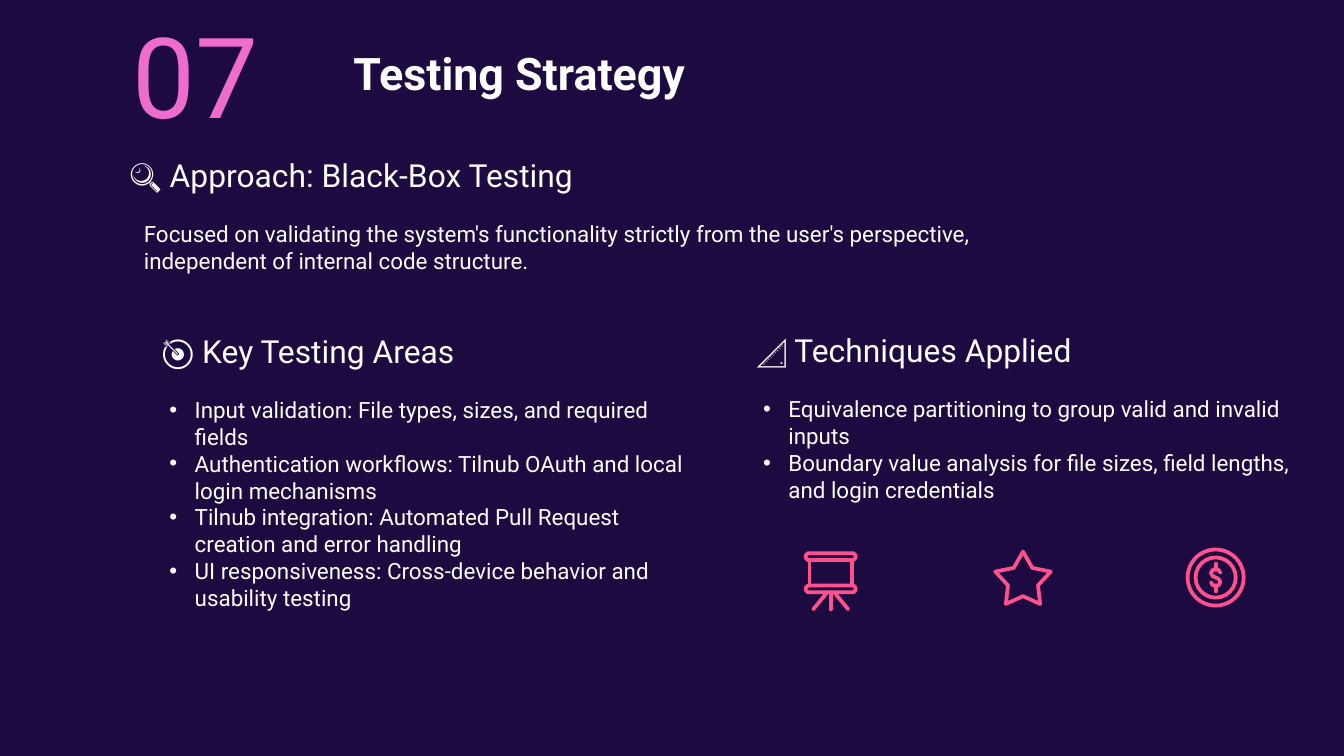
from lxml import etree
from pptx import Presentation
from pptx.dml.color import RGBColor
from pptx.enum.shapes import MSO_CONNECTOR, MSO_SHAPE
from pptx.enum.text import MSO_ANCHOR, MSO_AUTO_SIZE, PP_ALIGN
from pptx.oxml.ns import qn
from pptx.util import Cm, Pt

TOP, MIDDLE, BOTTOM = MSO_ANCHOR.TOP, MSO_ANCHOR.MIDDLE, MSO_ANCHOR.BOTTOM
LEFT, CENTER = PP_ALIGN.LEFT, PP_ALIGN.CENTER
STRAIGHT = MSO_CONNECTOR.STRAIGHT
OVAL, STAR = MSO_SHAPE.OVAL, MSO_SHAPE.STAR_5_POINT
COLORS = {"night": "1D0A40", "white": "FFFFFF", "orchid": "ED6CCD", "pink": "FF518D"}
FONT = "Roboto"
HEADING_HEIGHT = 1.18


def color(name):
    """Return the named colour."""
    return RGBColor.from_string(COLORS[name])


def add_bullet(para):
    """Give a paragraph a white hanging bullet."""
    props = para._p.get_or_add_pPr()
    props.set("marL", str(Cm(0.48)))
    props.set("indent", str(-Cm(0.48)))
    bullet_color = etree.SubElement(props, qn("a:buClr"))
    etree.SubElement(bullet_color, qn("a:srgbClr"), val=COLORS["white"])
    etree.SubElement(props, qn("a:buChar"), char="•")


def clear_bullet(para):
    """Remove the inherited bullet and indent from a paragraph."""
    props = para._p.get_or_add_pPr()
    props.set("marL", "0")
    props.set("indent", "0")
    etree.SubElement(props, qn("a:buNone"))


def write(shape, box, lines, size, ink="white", bold=False, anchor=TOP, align=LEFT, bullets=False):
    """Place a text shape in its box and fill it with one paragraph a line."""
    shape.left, shape.top, shape.width, shape.height = map(Cm, box)
    frame = shape.text_frame
    frame.word_wrap = True
    frame.auto_size = MSO_AUTO_SIZE.NONE
    frame.vertical_anchor = anchor
    frame.margin_left = frame.margin_right = Cm(0.25)
    frame.margin_top = frame.margin_bottom = Cm(0.25)
    for index, line in enumerate(lines):
        para = frame.paragraphs[0] if index == 0 else frame.add_paragraph()
        para.alignment = align
        para.line_spacing = 1.0
        para.space_before = para.space_after = Pt(0)
        if bullets:
            add_bullet(para)
        else:
            clear_bullet(para)
        span = para.add_run()
        span.text = line
        span.font.name = FONT
        span.font.size = Pt(size)
        span.font.bold = bold
        span.font.color.rgb = color(ink)


def add_text(page, box, lines, size, **style):
    """Add a text box with the given lines."""
    write(page.shapes.add_textbox(*map(Cm, box)), box, lines, size, **style)


def pink_stroke(shape):
    """Draw a shape or connector as a rounded pink stroke without shadow."""
    shape.line.color.rgb = color("pink")
    shape.line.width = Pt(2)
    props = shape._element.spPr
    line = props.find(qn("a:ln"))
    line.set("cap", "rnd")
    etree.SubElement(line, qn("a:round"))
    if props.find(qn("a:effectLst")) is None:
        etree.SubElement(props, qn("a:effectLst"))


def add_outline(page, kind, box):
    """Add an unfilled preset shape with a pink outline."""
    shape = page.shapes.add_shape(kind, *map(Cm, box))
    shape.fill.background()
    pink_stroke(shape)
    return shape


def add_drawing(page, origin, contours):
    """Add one unfilled freeform from open contours relative to an origin."""
    left, top = origin
    contours = [[(Cm(left + x), Cm(top + y)) for x, y in contour] for contour in contours]
    builder = page.shapes.build_freeform(*contours[0][0])
    for index, contour in enumerate(contours):
        if index:
            builder.move_to(*contour[0])
        builder.add_line_segments(contour[1:], close=False)
    drawing = builder.convert_to_shape()
    drawing.fill.background()
    pink_stroke(drawing)


def add_header(page, box):
    """Place the section number and the slide title."""
    left, top, width, height = box
    add_text(page, (left, top, 4.83, height), ["07"], 60,
             ink="orchid", anchor=MIDDLE, align=CENTER)
    write(page.shapes.title, (left + 5.15, top + 0.38, width - 5.15, 1.6),
          ["Testing Strategy"], 24, bold=True)


def add_approach(page, box):
    """Place the approach heading above its description."""
    left, top, width, height = box
    add_text(page, (left, top, 13, HEADING_HEIGHT),
             ["🔍 Approach: Black-Box Testing"], 17, anchor=BOTTOM)
    add_text(page, (left + 0.27, top + HEADING_HEIGHT, width - 0.27, height - HEADING_HEIGHT),
             ["Focused on validating the system's functionality strictly from the user's "
              "perspective, independent of internal code structure."], 12)


def add_column(heading, body, box, title, items):
    """Place a column heading above its bulleted list."""
    left, top, width, height = box
    write(heading, (left, top, width - 1.6, HEADING_HEIGHT), [title], 17, anchor=BOTTOM)
    write(body, (left + 0.14, top + HEADING_HEIGHT, width - 0.14, height - HEADING_HEIGHT),
          items, 12, bullets=True)


def add_easel(page, box):
    """Draw a presentation easel on three legs."""
    left, top, width, height = box
    right, middle = width - 0.04, width / 2
    bars = [[(0.08, y), (right - 0.04, y), (right, y + 0.04), (right, y + 0.09),
             (right - 0.04, y + 0.13), (0.08, y + 0.13), (0.04, y + 0.09),
             (0.04, y + 0.04), (0.08, y)] for y in (0.04, 0.65)]
    posts = [[(x, 0.17), (x, 0.65)] for x in (0.11, width - 0.11)]
    legs = [[(middle + spread / 5, 0.78), (middle + spread, height - 0.04)]
            for spread in (-0.33, 0, 0.33)]
    add_drawing(page, (left, top), bars + posts + legs)


def add_star(page, box):
    """Draw a five-pointed star."""
    left, top, width, height = box
    star = add_outline(page, STAR, (left + 0.06, top + 0.05, width - 0.12, height - 0.1))
    star.adjustments[0] = 0.27


def add_coin(page, box):
    """Draw a coin with two rings and a dollar sign."""
    left, top, width, height = box
    middle, center = left + width / 2, top + height / 2
    for radius in (0.53, 0.38):
        add_outline(page, OVAL, (middle - radius, center - radius, 2 * radius, 2 * radius))
    half = [(0.09, -0.09), (0.05, -0.15), (-0.05, -0.15), (-0.09, -0.09), (-0.06, -0.03)]
    curve = half + [(-x, -y) for x, y in reversed(half)]
    ticks = [[(0, side * 0.15), (0, side * 0.26)] for side in (-1, 1)]
    add_drawing(page, (middle, center), [curve] + ticks)


def main():
    """Build the testing strategy slide."""
    deck = Presentation()
    deck.slide_width, deck.slide_height = Cm(25.4), Cm(14.28)
    page = deck.slides.add_slide(deck.slide_layouts.get_by_name("Comparison"))
    page.background.fill.solid()
    page.background.fill.fore_color.rgb = color("night")
    holders = page.placeholders
    add_header(page, (1.28, 0.23, 14.93, 2.34))
    add_approach(page, (2.2, 2.73, 17.13, 2.78))
    add_column(holders[1], holders[2], (2.81, 6.05, 10.5, 6.96), "🎯 Key Testing Areas", [
        "Input validation: File types, sizes, and required fields",
        "Authentication workflows: Tilnub OAuth and local login mechanisms",
        "Tilnub integration: Automated Pull Request creation and error handling",
        "UI responsiveness: Cross-device behavior and usability testing",
    ])
    add_column(holders[3], holders[4], (14.03, 6.04, 11.02, 6.54), "📐 Techniques Applied", [
        "Equivalence partitioning to group valid and invalid inputs",
        "Boundary value analysis for file sizes, field lengths, and login credentials",
    ])
    add_easel(page, (15.19, 10.41, 1.02, 1.14))
    add_star(page, (18.75, 10.37, 1.17, 1.09))
    add_coin(page, (22.38, 10.34, 1.19, 1.14))
    deck.save("out.pptx")


if __name__ == "__main__":
    main()
